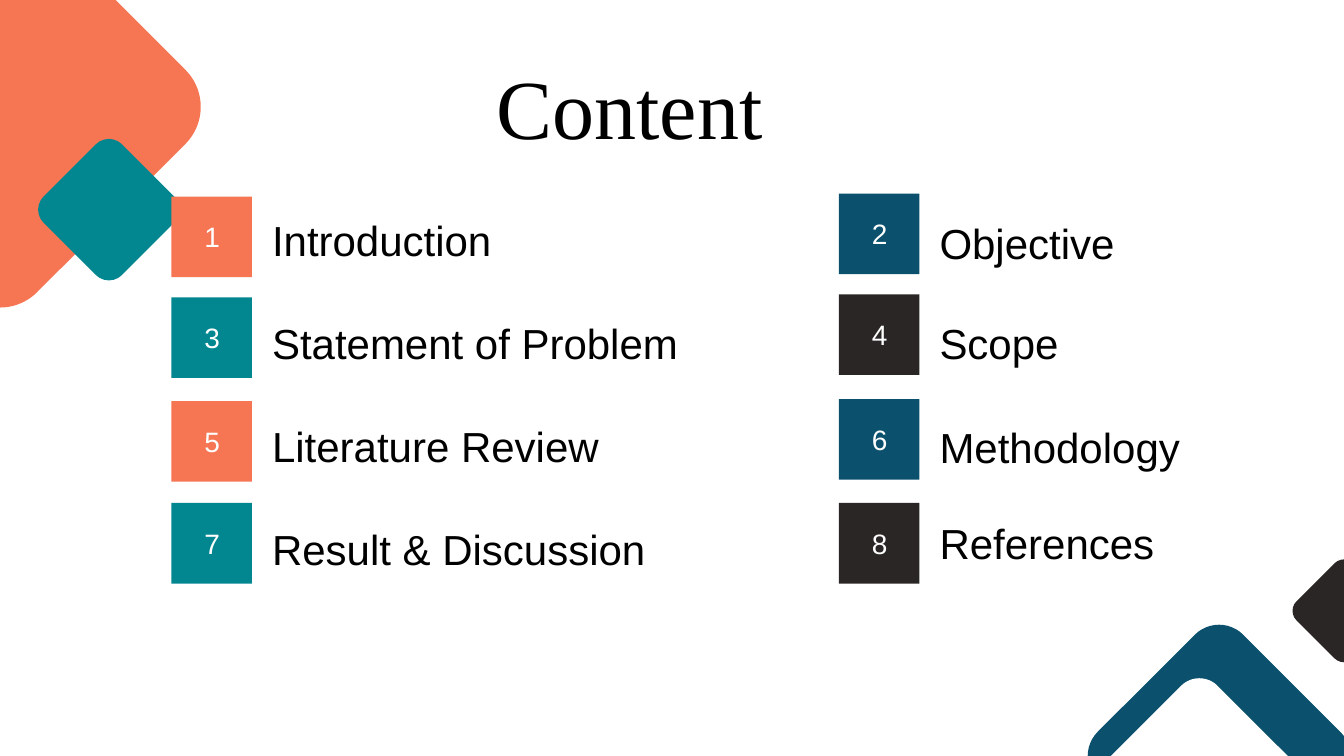
from dataclasses import dataclass

from pptx import Presentation
from pptx.dml.color import RGBColor
from pptx.enum.shapes import MSO_SHAPE
from pptx.enum.text import MSO_ANCHOR, MSO_AUTO_SIZE, PP_ALIGN
from pptx.shapes.autoshape import Shape
from pptx.slide import Slide
from pptx.util import Inches, Pt

ORANGE = RGBColor(0xF6, 0x76, 0x54)
TEAL = RGBColor(0x02, 0x86, 0x8F)
NAVY = RGBColor(0x0B, 0x50, 0x6C)
CHARCOAL = RGBColor(0x2A, 0x26, 0x25)
WHITE = RGBColor(0xFF, 0xFF, 0xFF)
BLACK = RGBColor(0x00, 0x00, 0x00)

LEFT_COLUMN, RIGHT_COLUMN = 1.7, 8.32
TILE_SIZE = 0.8
LABEL_OFFSET = 0.9
NUMBER_OFFSET_X, NUMBER_OFFSET_Y = 0.23, 0.18


@dataclass(frozen=True)
class Diamond:
    left: float
    top: float
    size: float
    color: RGBColor


@dataclass(frozen=True)
class Topic:
    title: str
    left: float
    tile_top: float
    label_top: float
    label_width: float
    color: RGBColor


DIAMONDS = [
    Diamond(-1.56, -0.5, 3.12, ORANGE),
    Diamond(0.53, 1.53, 1.1, TEAL),
    Diamond(11.07, 6.48, 2.04, NAVY),
    Diamond(12.93, 5.66, 0.8, CHARCOAL),
    Diamond(11.13, 6.94, 1.53, WHITE),
]

TOPICS = [
    Topic("Introduction", LEFT_COLUMN, 1.95, 2.08, 2.9, ORANGE),
    Topic("Objective", RIGHT_COLUMN, 1.92, 2.11, 2.9, NAVY),
    Topic("Statement of Problem", LEFT_COLUMN, 2.95, 3.1, 4.75, TEAL),
    Topic("Scope", RIGHT_COLUMN, 2.92, 3.1, 2.9, CHARCOAL),
    Topic("Literature Review", LEFT_COLUMN, 3.98, 4.12, 4.75, ORANGE),
    Topic("Methodology", RIGHT_COLUMN, 3.96, 4.13, 2.9, NAVY),
    Topic("Result & Discussion", LEFT_COLUMN, 4.99, 5.14, 4.75, TEAL),
    Topic("References", RIGHT_COLUMN, 4.99, 5.09, 3.54, CHARCOAL),
]


def add_square(slide: Slide, kind: MSO_SHAPE, left: float, top: float,
               size: float, color: RGBColor) -> Shape:
    shape = slide.shapes.add_shape(
        kind, Inches(left), Inches(top), Inches(size), Inches(size))
    shape.shadow.inherit = False
    shape.fill.solid()
    shape.fill.fore_color.rgb = color
    shape.line.fill.background()
    return shape


def write_text(shape: Shape, text: str, size: int, color: RGBColor,
               align: PP_ALIGN, font_name: str = "Arial") -> None:
    frame = shape.text_frame
    frame.word_wrap = True
    frame.auto_size = MSO_AUTO_SIZE.SHAPE_TO_FIT_TEXT
    frame.vertical_anchor = MSO_ANCHOR.TOP
    paragraph = frame.paragraphs[0]
    paragraph.alignment = align
    run = paragraph.add_run()
    run.text = text
    run.font.name = font_name
    run.font.size = Pt(size)
    run.font.color.rgb = color


def add_title(slide: Slide) -> None:
    title = slide.shapes.title
    title.left, title.top = Inches(4.73), Inches(0.5)
    title.width, title.height = Inches(3.03), Inches(1.11)
    write_text(title, "Content", 60, BLACK, PP_ALIGN.CENTER, "Times New Roman")


def add_topic(slide: Slide, number: int, topic: Topic) -> None:
    add_square(slide, MSO_SHAPE.RECTANGLE, topic.left, topic.tile_top,
               TILE_SIZE, topic.color)
    label = slide.shapes.add_textbox(
        Inches(topic.left + LABEL_OFFSET), Inches(topic.label_top),
        Inches(topic.label_width), Inches(0.6))
    write_text(label, topic.title, 30, BLACK, PP_ALIGN.LEFT)
    number_box = slide.shapes.add_textbox(
        Inches(topic.left + NUMBER_OFFSET_X),
        Inches(topic.tile_top + NUMBER_OFFSET_Y),
        Inches(0.34), Inches(0.44))
    write_text(number_box, str(number), 20, WHITE, PP_ALIGN.CENTER)


def main() -> None:
    presentation = Presentation()
    presentation.slide_width = Inches(13.33)
    presentation.slide_height = Inches(7.5)
    slide = presentation.slides.add_slide(presentation.slide_layouts[5])

    for diamond in DIAMONDS:
        shape = add_square(slide, MSO_SHAPE.ROUNDED_RECTANGLE, diamond.left,
                           diamond.top, diamond.size, diamond.color)
        shape.rotation = 45
    add_title(slide)
    for number, topic in enumerate(TOPICS, start=1):
        add_topic(slide, number, topic)

    presentation.save("out.pptx")


if __name__ == "__main__":
    main()
